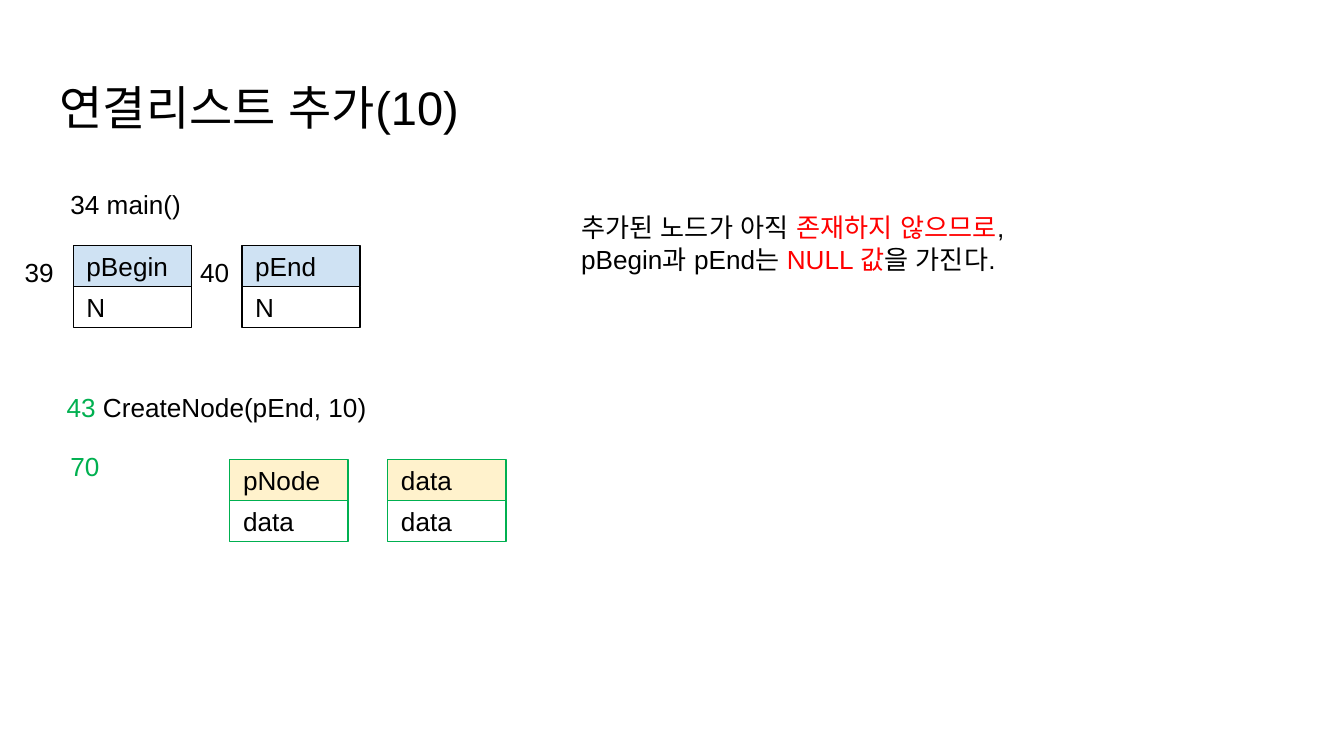
from lxml import etree
from pptx import Presentation
from pptx.dml.color import RGBColor
from pptx.enum.shapes import MSO_SHAPE
from pptx.enum.text import MSO_ANCHOR, MSO_AUTO_SIZE, PP_ALIGN
from pptx.oxml.ns import qn
from pptx.util import Pt

RECTANGLE = MSO_SHAPE.RECTANGLE
MIDDLE, TOP = MSO_ANCHOR.MIDDLE, MSO_ANCHOR.TOP
LEFT = PP_ALIGN.LEFT
GROW = MSO_AUTO_SIZE.SHAPE_TO_FIT_TEXT

BLACK = RGBColor(0x00, 0x00, 0x00)
WHITE = RGBColor(0xFF, 0xFF, 0xFF)
RED = RGBColor(0xFF, 0x00, 0x00)
GREEN = RGBColor(0x00, 0xB0, 0x50)
PALE_BLUE = RGBColor(0xCF, 0xE2, 0xF3)
PALE_YELLOW = RGBColor(0xFF, 0xF2, 0xCC)

EMU_PER_PX = 4572  # 200 px to the inch
FONT = "Arial"
BODY_SIZE, TITLE_SIZE = 14, 25.2
INSET = 20
LINE_BOX_HEIGHT = 88
CELL_WIDTH, CELL_HEIGHT = 176, 61


def px(length):
    return length * EMU_PER_PX


def style_frame(frame, anchor, inset_x=INSET, inset_y=INSET):
    frame.word_wrap = True
    frame.vertical_anchor = anchor
    frame.margin_left = px(inset_x)
    frame.margin_right = px(INSET)
    frame.margin_top = frame.margin_bottom = px(inset_y)


def style_run(run, color, size=BODY_SIZE):
    run.font.size = Pt(size)
    run.font.color.rgb = color
    run.font.name = FONT
    # Korean text takes its font from the East Asian slot
    properties = run.font._element
    east_asian = etree.Element(qn("a:ea"), typeface=FONT)
    properties.find(qn("a:latin")).addnext(east_asian)


def add_text(slide, left, top, width, height, lines, size=BODY_SIZE,
             inset_x=INSET, inset_y=INSET, grow=True):
    """Add one paragraph; each line is a list of (text, color) pieces."""
    box = slide.shapes.add_textbox(px(left), px(top), px(width), px(height))
    frame = box.text_frame
    style_frame(frame, TOP, inset_x, inset_y)
    if grow:
        frame.auto_size = GROW
    paragraph = frame.paragraphs[0]
    for index, pieces in enumerate(lines):
        if index:
            paragraph.add_line_break()
        for text, color in pieces:
            run = paragraph.add_run()
            run.text = text
            style_run(run, color, size)


def add_variable(slide, left, top, name, value, name_fill, border):
    """Add a variable as a name cell over a value cell."""
    group = slide.shapes.add_group_shape()
    for row, (text, fill) in enumerate([(name, name_fill), (value, WHITE)]):
        cell = group.shapes.add_shape(
            RECTANGLE, px(left), px(top + row * CELL_HEIGHT),
            px(CELL_WIDTH), px(CELL_HEIGHT))
        cell.shadow.inherit = False
        cell.fill.solid()
        cell.fill.fore_color.rgb = fill
        cell.line.color.rgb = border
        cell.line.width = Pt(0.75)
        style_frame(cell.text_frame, MIDDLE)
        paragraph = cell.text_frame.paragraphs[0]
        paragraph.text = text
        paragraph.alignment = LEFT
        style_run(paragraph.runs[0], BLACK)


def main():
    presentation = Presentation()
    presentation.slide_width = px(2000)
    presentation.slide_height = px(1125)
    slide = presentation.slides.add_slide(presentation.slide_layouts[6])

    # Title
    add_text(slide, 69, 97, 1864, 126, [[("연결리스트 추가(10)", BLACK)]],
             size=TITLE_SIZE, grow=False)

    # Variables of main()
    add_text(slide, 85, 260, 1098, LINE_BOX_HEIGHT, [[("34 main()", BLACK)]])
    for left, name in [(109, "pBegin"), (360, "pEnd")]:
        add_variable(slide, left, 365, name, "N", PALE_BLUE, BLACK)

    # Variables of CreateNode()
    add_text(slide, 69, 563, 1098, LINE_BOX_HEIGHT,
             [[("43 ", GREEN), ("CreateNode(pEnd, 10)", BLACK)]], inset_x=30)
    for left, name in [(342, "pNode"), (577, "data")]:
        add_variable(slide, left, 684, name, "data", PALE_YELLOW, GREEN)

    # Line numbers
    for left, top, width, number, color in [
        (17, 362, 84, "39", BLACK),
        (278, 362, 84, "40", BLACK),
        (85, 650, 120, "70", GREEN),
    ]:
        add_text(slide, left, top, width, LINE_BOX_HEIGHT, [[(number, color)]])

    # Explanation
    add_text(slide, 845, 305, 794, 114, [
        [("추가된 노드가 아직 ", BLACK), ("존재하지 않으므로", RED), (",", BLACK)],
        [("pBegin과 pEnd는 ", BLACK), ("NULL 값", RED), ("을 가진다.", BLACK)],
    ], inset_y=10)

    presentation.save("out.pptx")


if __name__ == "__main__":
    main()
